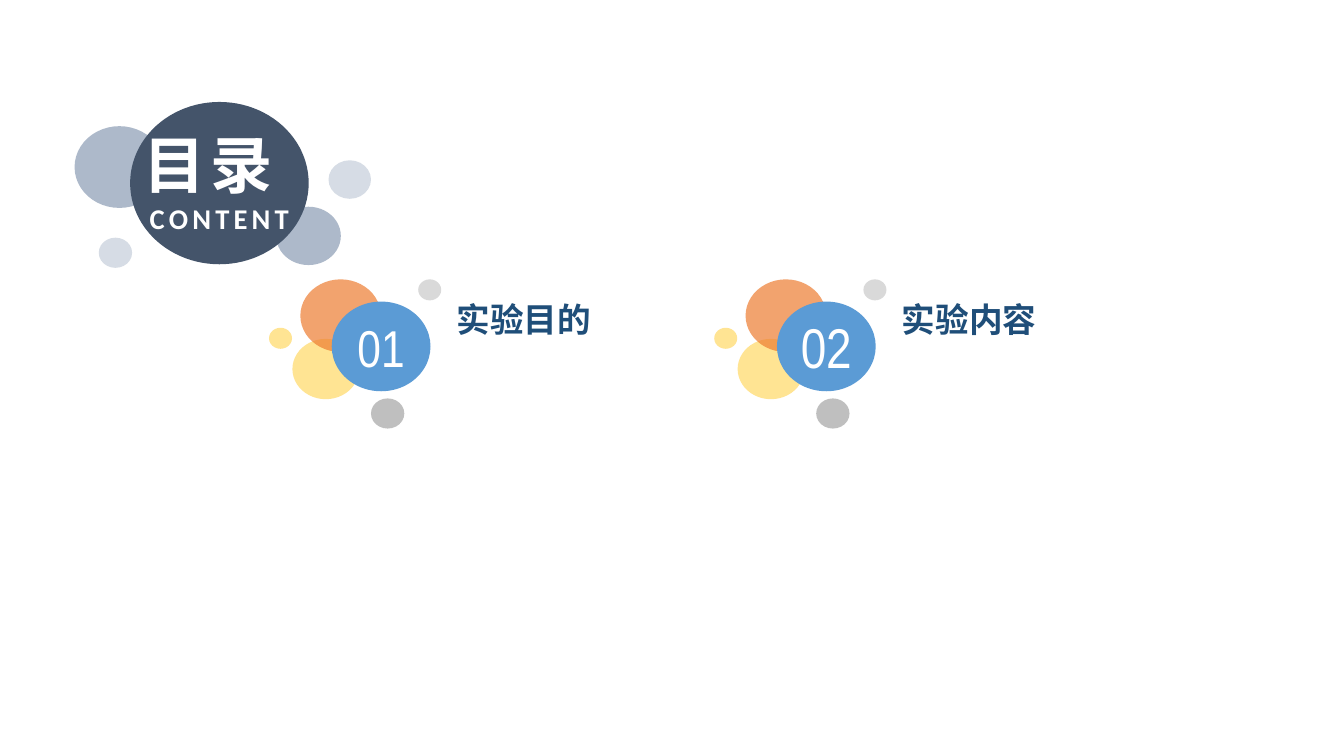
"""Build the contents slide: a title bubble cluster and two numbered sections."""
from lxml.etree import SubElement
from pptx import Presentation
from pptx.dml.color import RGBColor
from pptx.enum.shapes import MSO_SHAPE as SHAPE
from pptx.enum.text import MSO_ANCHOR as ANCHOR, PP_ALIGN as ALIGN
from pptx.oxml.ns import qn
from pptx.util import Cm, Pt

CJK = "Noto Sans CJK SC"
SECTIONS = [("01", 37, "实验目的"), ("02", 40, "实验内容")]
SECTION_LEFT, SECTION_TOP, SECTION_STEP = 6.78, 7.04, 11.22
BACK_BUBBLES = [
    (0.59, 1.5, 1.68, 1.52, "FFD966"),
    (0.79, 0, 2.03, 1.83, "ED7D31"),
]
NUMBER_BUBBLE = (1.58, 0.56, 2.49, 2.26, "5B9BD5")
FRONT_BUBBLES = [
    (2.57, 3, 0.84, 0.76, "A5A5A5"),
    (0, 1.22, 0.58, 0.53, "FFD966"),
    (3.76, 0, 0.58, 0.53, "C9C9C9"),
]
LABEL = (3.74, 0, 6.99, 1.5)
TITLE_BUBBLES = [
    (2.49, 5.99, 0.84, 0.76, "D6DCE5"),
    (6.96, 5.21, 1.63, 1.47, "ADB9CA"),
    (1.88, 3.18, 2.26, 2.06, "ADB9CA"),
    (3.28, 2.57, 4.5, 4.09, "44546A"),
    (8.28, 4.04, 1.07, 0.97, "D6DCE5"),
]
TITLE_INDEX = 3


def rgb(value):
    return RGBColor.from_string(value)


def add_text(p, text, size, font, color="FFFFFF", bold=False, spacing=None):
    r = p.add_run()
    r.text = text
    r.font.size, r.font.bold, r.font.name = Pt(size), bold, font
    r.font.color.rgb = rgb(color)
    props = r.font._element
    if spacing:
        props.set("spc", str(spacing * 100))
    SubElement(props, qn("a:ea")).set("typeface", CJK)


def add_bubble(s, left, top, width, height, color, alpha=None):
    sp = s.shapes.add_shape(SHAPE.OVAL, Cm(left), Cm(top), Cm(width), Cm(height))
    sp.shadow.inherit = False
    sp.line.fill.background()
    sp.fill.solid()
    sp.fill.fore_color.rgb = rgb(color)
    if alpha:
        tint = sp.fill._xPr.find(".//" + qn("a:srgbClr"))
        SubElement(tint, qn("a:alpha")).set("val", str(alpha * 1000))
    return sp


def start_text(sp, anchor, align):
    tf = sp.text_frame
    tf.word_wrap = False
    tf.vertical_anchor = anchor
    p = tf.paragraphs[0]
    p.alignment = align
    return p


def add_section(s, left, top, number, size, label):
    def place(x, y, *rest):
        return (left + x, top + y, *rest)

    for bubble in BACK_BUBBLES:
        add_bubble(s, *place(*bubble), alpha=70)
    sp = add_bubble(s, *place(*NUMBER_BUBBLE))
    add_text(start_text(sp, ANCHOR.MIDDLE, ALIGN.CENTER), number, size, "Arial Narrow")
    for bubble in FRONT_BUBBLES:
        add_bubble(s, *place(*bubble), alpha=70)
    box = s.shapes.add_textbox(*map(Cm, place(*LABEL)))
    tf = box.text_frame
    tf.margin_left = Cm(0.99)
    tf.margin_top = tf.margin_right = tf.margin_bottom = 0
    p = start_text(box, ANCHOR.BOTTOM, ALIGN.LEFT)
    add_text(p, label, 24, CJK, color="1F4E79", bold=True)


def add_title(s):
    bubbles = [add_bubble(s, *bubble) for bubble in TITLE_BUBBLES]
    p = start_text(bubbles[TITLE_INDEX], ANCHOR.BOTTOM, ALIGN.CENTER)
    add_text(p, "目录 ", 44.4, "Calibri", bold=True, spacing=3)
    p.add_line_break()
    add_text(p, "CONTENT", 20.4, "Calibri", bold=True, spacing=3)


def main():
    prs = Presentation()
    prs.slide_width, prs.slide_height = Cm(33.87), Cm(19.05)
    s = prs.slides.add_slide(prs.slide_layouts[6])
    for i, section in enumerate(SECTIONS):
        add_section(s, SECTION_LEFT + i * SECTION_STEP, SECTION_TOP, *section)
    add_title(s)
    prs.save("out.pptx")


if __name__ == "__main__":
    main()
